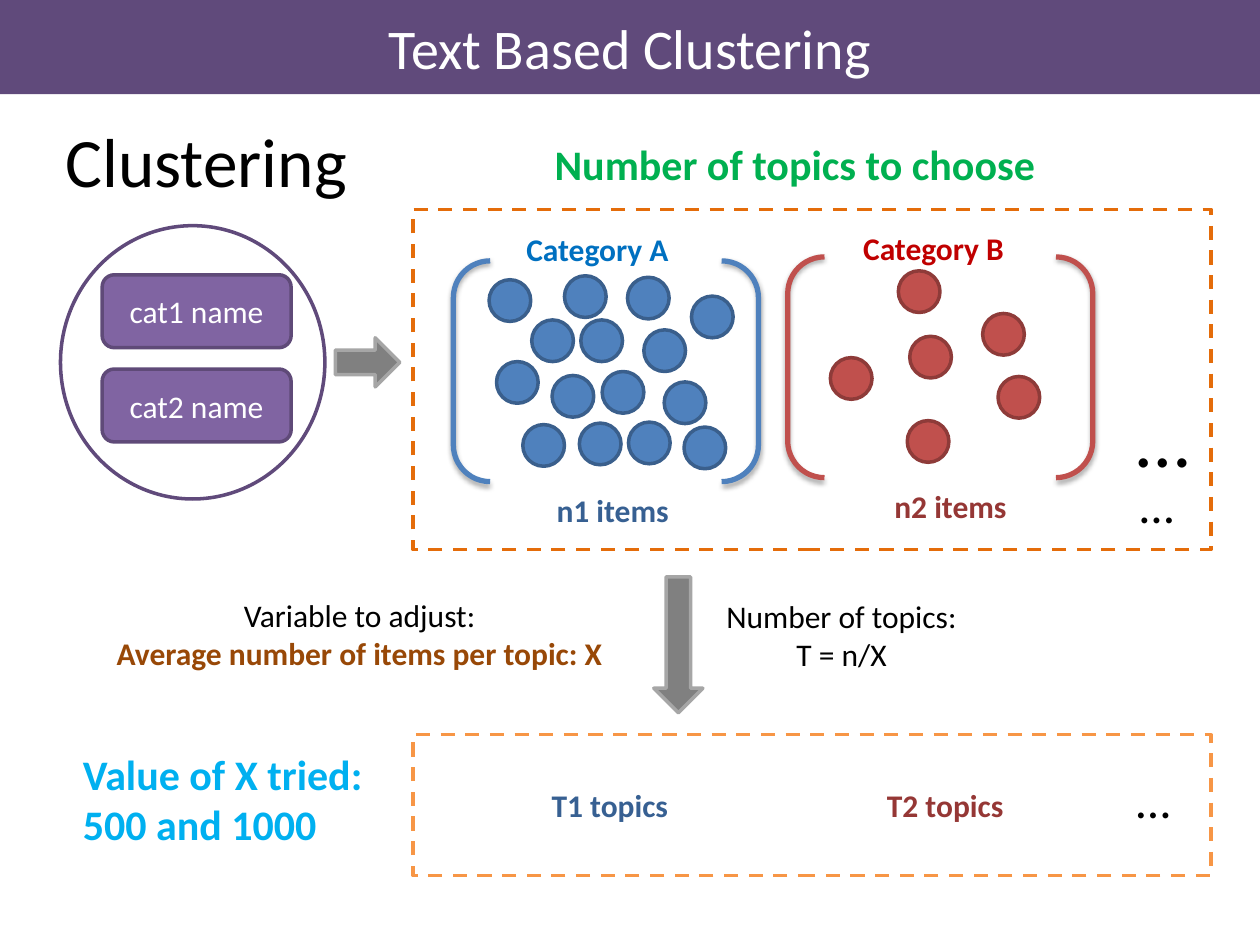
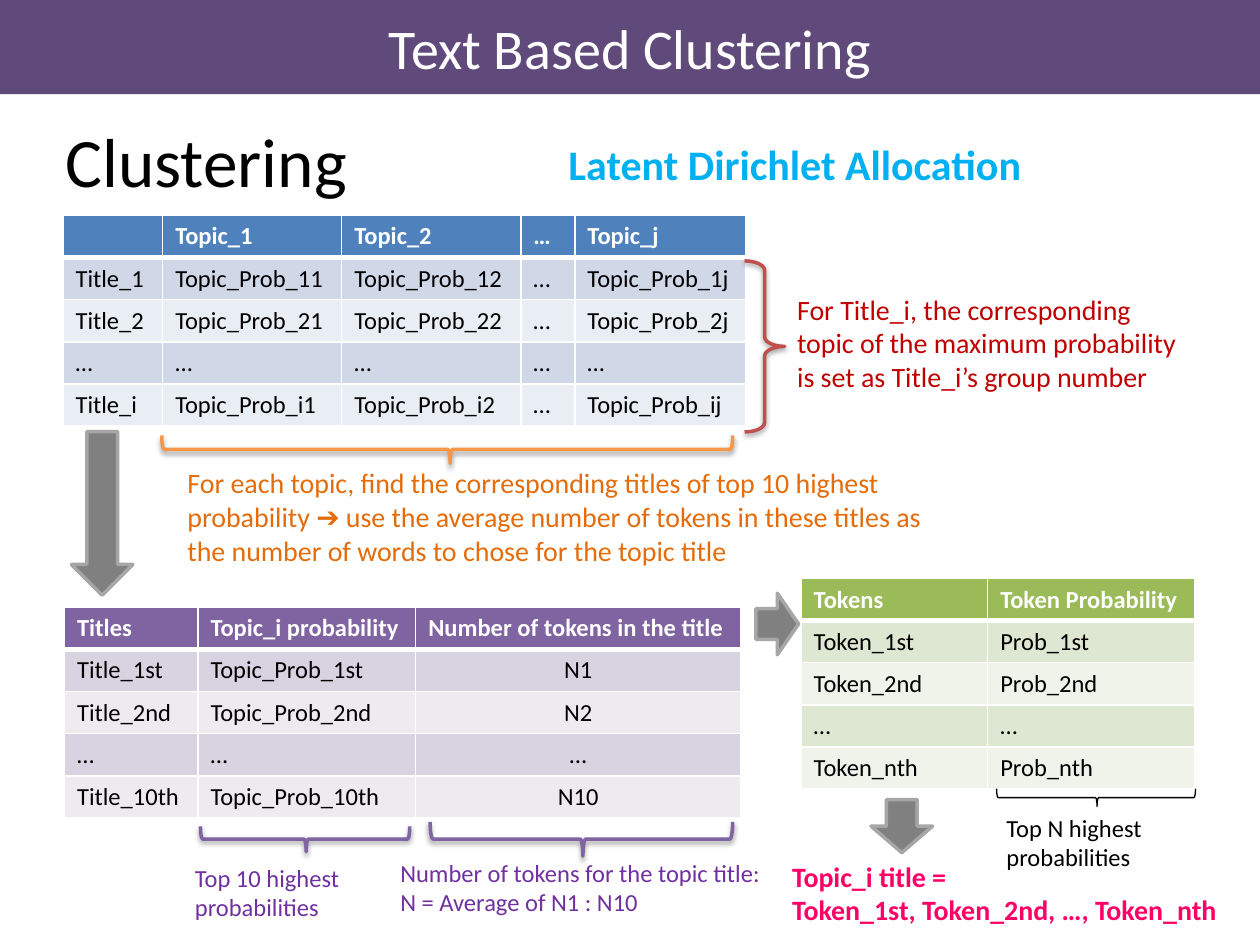
from dataclasses import dataclass

from lxml import etree
from pptx import Presentation
from pptx.dml.color import RGBColor
from pptx.enum.dml import MSO_LINE
from pptx.enum.shapes import MSO_SHAPE
from pptx.enum.text import MSO_ANCHOR, PP_ALIGN
from pptx.oxml.ns import qn
from pptx.util import Cm, Pt

RECT, ROUND, OVAL = MSO_SHAPE.RECTANGLE, MSO_SHAPE.ROUNDED_RECTANGLE, MSO_SHAPE.OVAL
DOT, PAIR, BRACE = MSO_SHAPE.FLOWCHART_CONNECTOR, MSO_SHAPE.DOUBLE_BRACKET, MSO_SHAPE.RIGHT_BRACE
DOWN, RIGHT = MSO_SHAPE.DOWN_ARROW, MSO_SHAPE.RIGHT_ARROW
DASH = MSO_LINE.DASH
LEFT, MID = PP_ALIGN.LEFT, PP_ALIGN.CENTER
TOP, HALF = MSO_ANCHOR.TOP, MSO_ANCHOR.MIDDLE

FONT = "Calibri"
HUES = {
    "white": "FFFFFF", "black": "000000", "band": "604A7B",
    "purple": "8064A2", "plum": "5F4A78", "violet": "7030A0",
    "blue": "4F81BD", "blue rim": "3A5F8C", "navy": "376092", "azure": "0070C0",
    "red": "C0504D", "red rim": "8E3B39", "wine": "953735", "crimson": "C00000",
    "orange": "F79646", "rust": "E46C0A", "brown": "984807",
    "green": "00B050", "sky": "00B0F0", "pink": "FF0066",
    "gray": "808080", "gray rim": "A6A6A6", "lime": "9BBB59",
    "blue dark": "D0D8E8", "blue pale": "E9EDF4",
    "purple dark": "D8D3E0", "purple pale": "EDEAF0",
    "lime dark": "DEE7D1", "lime pale": "EFF3EA",
}


@dataclass
class Box:
    """A place on the slide, in centimetres."""
    left: float
    top: float
    wide: float
    high: float

    def frame(self) -> tuple:
        return Cm(self.left), Cm(self.top), Cm(self.wide), Cm(self.high)


@dataclass
class Run:
    text: str
    hue: str = "black"
    size: float = 18
    bold: bool = False


@dataclass
class Label:
    box: Box
    lines: list[Run]
    align: int = LEFT
    anchor: int = TOP


@dataclass
class Brace:
    box: Box
    hue: str
    bend: float = 0.083
    tip: float = 0.495
    down: bool = True
    width: float = 2
    shade: bool = True


@dataclass
class Group:
    """One category: bracket pair, circles and captions."""
    hue: str
    pair: Box
    dots: list[tuple[float, float]]
    labels: list[Label]


@dataclass
class Grid:
    left: float
    top: float
    hue: str
    cols: list[float]
    rows: list[list[str]]
    mid: int = -1  # centred column


def color(hue: str) -> RGBColor:
    return RGBColor.from_string(HUES[hue])


def write(frame, lines: list[Run], align: int) -> None:
    for i, line in enumerate(lines):
        par = frame.add_paragraph() if i else frame.paragraphs[0]
        par.alignment = align
        if not line.text:
            etree.SubElement(par._p, qn("a:endParaRPr"), sz=str(int(line.size * 100)))
            continue
        run = par.add_run()
        run.text = line.text
        run.font.name, run.font.size, run.font.bold = FONT, Pt(line.size), line.bold
        run.font.color.rgb = color(line.hue)


def draw_label(slide, label: Label) -> None:
    frame = slide.shapes.add_textbox(*label.box.frame()).text_frame
    frame.word_wrap = True
    frame.vertical_anchor = label.anchor
    write(frame, label.lines, label.align)


def draw_shape(slide, kind: int, box: Box, fill: str = "", rim: str = "", width: float = 2,
               text: Run | None = None):
    shape = slide.shapes.add_shape(kind, *box.frame())
    shape.shadow.inherit = False
    if fill:
        shape.fill.solid()
        shape.fill.fore_color.rgb = color(fill)
    else:
        shape.fill.background()
    if rim:
        shape.line.color.rgb = color(rim)
        shape.line.width = Pt(width)
    else:
        shape.line.fill.background()
    if text:
        shape.text_frame.vertical_anchor = HALF
        write(shape.text_frame, [text], MID)
    return shape


def add_shade(shape, alpha: int, dist: float) -> None:
    effect = shape._element.spPr.find(qn("a:effectLst"))
    outer = etree.SubElement(effect, qn("a:outerShdw"), blurRad=str(Pt(3.1)),
                             dist=str(Pt(dist)), dir="5400000", rotWithShape="0")
    tone = etree.SubElement(outer, qn("a:srgbClr"), val=HUES["black"])
    etree.SubElement(tone, qn("a:alpha"), val=str(alpha * 1000))


def draw_brace(slide, brace: Brace) -> None:
    box = brace.box
    if brace.down:  # swap the sides about the centre, then turn
        shift = (box.wide - box.high) / 2
        box = Box(box.left + shift, box.top - shift, box.high, box.wide)
    shape = draw_shape(slide, BRACE, box, rim=brace.hue, width=brace.width)
    shape.rotation = 90 if brace.down else 0
    shape.adjustments[0], shape.adjustments[1] = brace.bend, brace.tip
    if brace.shade:
        add_shade(shape, 38, 1.6)


def draw_arrow(slide, kind: int, box: Box) -> None:
    draw_shape(slide, kind, box, "gray", "gray rim")


def draw_group(slide, group: Group) -> None:
    for left, top in group.dots:
        draw_shape(slide, DOT, Box(left, top, 0.84, 0.84), group.hue, group.hue + " rim")
    add_shade(draw_shape(slide, PAIR, group.pair, rim=group.hue, width=3), 35, 1.8)
    for label in group.labels:
        draw_label(slide, label)


def set_edges(cell, row: int) -> None:
    props = cell._tc.get_or_add_tcPr()
    thick = {0: "lnB", 1: "lnT"}.get(row)
    for i, side in enumerate(("lnL", "lnR", "lnT", "lnB")):
        edge = etree.Element(qn("a:" + side), w=str(Pt(3 if side == thick else 1)))
        fill = etree.SubElement(edge, qn("a:solidFill"))
        etree.SubElement(fill, qn("a:srgbClr"), val=HUES["white"])
        props.insert(i, edge)


def draw_grid(slide, grid: Grid) -> None:
    box = Box(grid.left, grid.top, sum(grid.cols), 0.85 * len(grid.rows))
    table = slide.shapes.add_table(len(grid.rows), len(grid.cols), *box.frame()).table
    table.horz_banding = False
    for col, wide in zip(table.columns, grid.cols):
        col.width = Cm(wide)
    for r, row in enumerate(grid.rows):
        shade = grid.hue + (" dark" if r % 2 else " pale") if r else grid.hue
        for c, text in enumerate(row):
            cell = table.cell(r, c)
            cell.fill.solid()
            cell.fill.fore_color.rgb = color(shade)
            set_edges(cell, r)
            run = Run(text, "black" if r else "white", 14, r == 0)
            write(cell.text_frame, [run], MID if r and c == grid.mid else LEFT)


def add_page(deck, head: Run):
    slide = deck.slides.add_slide(deck.slide_layouts[6])
    draw_label(slide, Label(Box(1.07, 2.54, 9.32, 1.35), [Run("Clustering", size=39.6)],
                            anchor=HALF))
    draw_shape(slide, RECT, Box(0, 0, 25.4, 1.9), "band",
               text=Run("Text Based Clustering", "white", 32))
    draw_label(slide, Label(Box(9.32, 2.67, 13.41, 1.27), [head], MID))
    return slide


def tag(left: float, top: float, text: str, hue: str) -> Label:
    return Label(Box(left, top, 3.81, 1.02), [Run(text, hue, bold=True)])


def more(left: float, top: float, size: float) -> Label:
    return Label(Box(left, top, 1.75, 1.45), [Run("…", size=size)])


GROUPS = [
    Group("blue", Box(9.14, 5.26, 6.15, 4.45),
          [(10.01, 7.29), (10.72, 6.45), (11.13, 7.57), (11.71, 6.45), (11.38, 5.56),
           (12.65, 5.59), (12.14, 7.49), (12.98, 6.65), (13.39, 7.7), (11.68, 8.53),
           (10.54, 8.56), (12.67, 8.51), (13.79, 8.61), (9.86, 5.64), (13.94, 5.97)],
          [tag(10.36, 4.52, "Category A", "azure"), tag(10.97, 9.78, "n1 items", "navy"),
           tag(10.87, 15.72, "T1 topics", "navy")]),
    Group("red", Box(15.88, 5.18, 6.15, 4.45),
          [(16.74, 7.21), (18.11, 5.46), (19.81, 6.32), (18.34, 6.78), (20.12, 7.59),
           (18.29, 8.48)],
          [tag(17.15, 4.5, "Category B", "crimson"), tag(17.78, 9.7, "n2 items", "wine"),
           tag(17.63, 15.72, "T2 topics", "wine")]),
]

NOTES = [
    Label(Box(1.75, 11.89, 11, 1.8),
          [Run("Variable to adjust:"),
           Run("Average number of items per topic: X", "brown", bold=True)], MID),
    Label(Box(13.94, 11.91, 6.05, 1.8), [Run("Number of topics:"), Run("T = n/X")], MID),
    Label(Box(1.42, 14.96, 6.91, 2.31),
          [Run(text, "sky", 24, True) for text in ("Value of X tried:", "500 and 1000")]),
    more(22.66, 7.75, 44), more(22.73, 9.45, 28), more(22.66, 15.39, 28),
]

GRIDS = [
    Grid(1.27, 4.34, "blue", [2.01, 3.61, 3.61, 1.09, 3.45],
         [["", "Topic_1", "Topic_2", "…", "Topic_j"],
          ["Title_1", "Topic_Prob_11", "Topic_Prob_12", "…", "Topic_Prob_1j"],
          ["Title_2", "Topic_Prob_21", "Topic_Prob_22", "…", "Topic_Prob_2j"],
          ["…"] * 5,
          ["Title_i", "Topic_Prob_i1", "Topic_Prob_i2", "…", "Topic_Prob_ij"]]),
    Grid(1.3, 12.24, "purple", [2.69, 4.39, 6.55],
         [["Titles", "Topic_i probability", "Number of tokens in the title"],
          ["Title_1st", "Topic_Prob_1st", "N1"],
          ["Title_2nd", "Topic_Prob_2nd", "N2"],
          ["…"] * 3,
          ["Title_10th", "Topic_Prob_10th", "N10"]], mid=2),
    Grid(16.15, 11.66, "lime", [3.76, 4.17],
         [["Tokens", "Token Probability"], ["Token_1st", "Prob_1st"],
          ["Token_2nd", "Prob_2nd"], ["…"] * 2, ["Token_nth", "Prob_nth"]]),
]

BRACES = [
    Brace(Box(15.01, 5.26, 0.81, 3.45), "red", 0.235, 0.5, down=False),
    Brace(Box(3.26, 8.78, 11.51, 0.56), "orange"),
    Brace(Box(20.09, 15.9, 4.01, 0.36), "black", width=0.75, shade=False),
    Brace(Box(4.04, 16.66, 4.22, 0.51), "purple"),
    Brace(Box(8.67, 16.57, 6.1, 0.69), "purple"),
]

HINTS = [
    Label(Box(15.82, 5.77, 8.23, 2.31),
          [Run("For Title_i, the corresponding topic of the maximum probability "
               "is set as Title_i’s group number", "crimson", 16)]),
    Label(Box(3.53, 9.27, 15.37, 2.31),
          [Run("For each topic, find the corresponding titles of top 10 highest probability "
               "➔ use the average number of tokens in these titles as the number of words "
               "to chose for the topic title", "rust", 16)]),
    Label(Box(20.04, 16.26, 4.09, 1.45),
          [Run(text, size=14) for text in ("Top N highest", "probabilities")]),
    Label(Box(3.68, 17.27, 4.93, 1.45),
          [Run(text, "violet", 14) for text in ("Top 10 highest", "probabilities")]),
    Label(Box(7.82, 17.17, 7.85, 1.45),
          [Run(text, "violet", 14) for text in
           ("Number of tokens for the topic title:", "N = Average of N1 : N10")]),
    Label(Box(15.72, 17.2, 9.7, 1.63),
          [Run(text, "pink", 16, True) for text in
           ("Topic_i title =", "Token_1st, Token_2nd, …, Token_nth")]),
]


def draw_topics(deck) -> None:
    slide = add_page(deck, Run("Number of topics to choose", "green", 24, True))
    # Category names in a circle
    draw_shape(slide, OVAL, Box(1.22, 4.55, 5.33, 5.51), rim="band")
    for i in range(2):
        draw_shape(slide, ROUND, Box(2.06, 5.54 + 1.9 * i, 3.81, 1.47), "purple", "plum",
                   text=Run(f"cat{i + 1} name", "white"))
    # Dashed frames and their groups
    for top, high, rim in ((4.22, 6.86, "rust"), (14.81, 2.84, "orange")):
        draw_shape(slide, RECT, Box(8.33, top, 16.08, high), rim=rim).line.dash_style = DASH
    for group in GROUPS:
        draw_group(slide, group)
    # Arrows and notes
    draw_arrow(slide, RIGHT, Box(6.76, 6.81, 1.3, 0.99))
    draw_arrow(slide, DOWN, Box(13.18, 11.63, 0.99, 2.74))
    for note in NOTES:
        draw_label(slide, note)


def draw_tables(deck) -> None:
    slide = add_page(deck, Run("Latent Dirichlet Allocation", "sky", 24, True))
    for grid in GRIDS:
        draw_grid(slide, grid)
    for brace in BRACES:
        draw_brace(slide, brace)
    draw_arrow(slide, RIGHT, Box(15.24, 11.96, 0.86, 1.24))
    draw_arrow(slide, DOWN, Box(1.44, 8.7, 1.24, 3.3))
    draw_arrow(slide, DOWN, Box(17.56, 16.12, 1.24, 1.07))
    for hint in HINTS:
        draw_label(slide, hint)


def main() -> None:
    deck = Presentation()
    deck.slide_width, deck.slide_height = Cm(25.4), Cm(19.05)
    draw_topics(deck)
    draw_tables(deck)
    deck.save("out.pptx")


if __name__ == "__main__":
    main()
